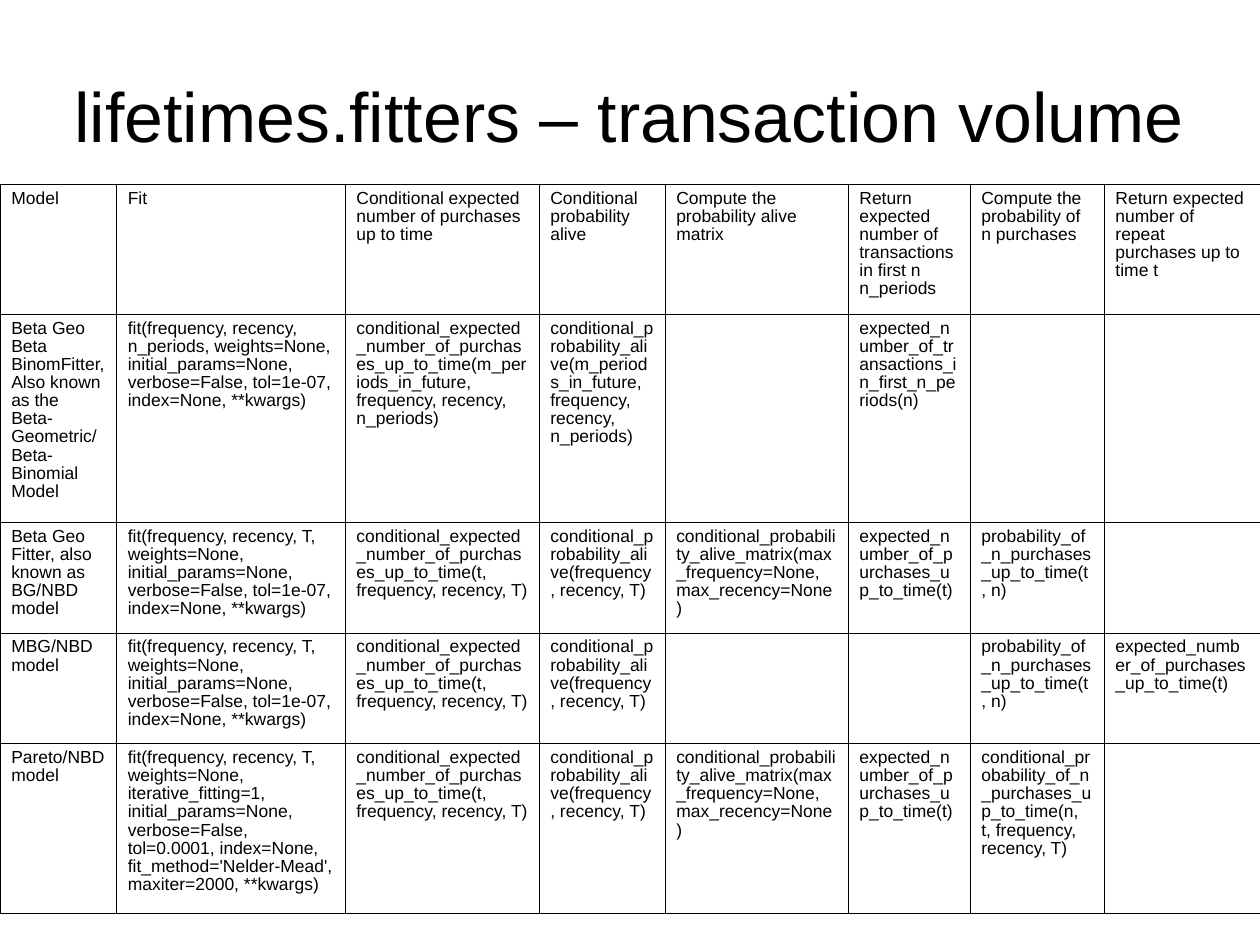
from dataclasses import dataclass, astuple

from lxml.etree import SubElement
from pptx import Presentation
from pptx.dml.color import RGBColor as Rgb
from pptx.enum.text import MSO_ANCHOR as Anchor, MSO_AUTO_SIZE as Auto, PP_ALIGN as Align
from pptx.oxml.ns import qn
from pptx.table import _Cell as Cell
from pptx.text.text import _Paragraph as Para
from pptx.util import Cm, Pt

COLORS = {"ink": "000000"}
FONT = "Arial"
WIDTHS = [2.59, 5.08, 4.31, 2.8, 4.07, 2.71, 2.98, 3.46]
HEIGHTS = [2.89, 4.62, 2.46, 2.46, 3.76]


@dataclass
class Model:
    name: str
    fit: str
    buys: str
    alive: str
    matrix: str = ""
    first: str = ""
    prob: str = ""
    repeat: str = ""


FIT = ("fit(frequency, recency, T, weights=None, initial_params=None, "
       "verbose=False, tol=1e-07, index=None, **kwargs)")
BUYS = "conditional_expected_number_of_purchases_up_to_time(t, frequency, recency, T)"
ALIVE = "conditional_probability_alive(frequency, recency, T)"
MATRIX = "conditional_probability_alive_matrix(max_frequency=None, max_recency=None)"
COUNT = "expected_number_of_purchases_up_to_time(t)"
PROB = "probability_of_n_purchases_up_to_time(t, n)"

ROWS = [
    Model("Model", "Fit",
          "Conditional expected number of purchases up to time",
          "Conditional probability alive",
          "Compute the probability alive matrix",
          "Return expected number of transactions in first n n_periods",
          "Compute the probability of n purchases",
          "Return expected number of repeat purchases up to time t"),
    Model("Beta Geo Beta BinomFitter, Also known as the "
          "Beta-Geometric/Beta-Binomial Model",
          "fit(frequency, recency, n_periods, weights=None, initial_params=None, "
          "verbose=False, tol=1e-07, index=None, **kwargs)",
          "conditional_expected_number_of_purchases_up_to_time"
          "(m_periods_in_future, frequency, recency, n_periods)",
          "conditional_probability_alive"
          "(m_periods_in_future, frequency, recency, n_periods)",
          first="expected_number_of_transactions_in_first_n_periods(n)"),
    Model("Beta Geo Fitter, also known as BG/NBD model",
          FIT, BUYS, ALIVE, MATRIX, COUNT, PROB),
    Model("MBG/NBD model", FIT, BUYS, ALIVE, prob=PROB, repeat=COUNT),
    Model("Pareto/NBD model",
          "fit(frequency, recency, T, weights=None, iterative_fitting=1, "
          "initial_params=None, verbose=False, tol=0.0001, index=None, "
          "fit_method='Nelder-Mead', maxiter=2000, **kwargs)",
          BUYS, ALIVE, MATRIX, COUNT,
          "conditional_probability_of_n_purchases_up_to_time"
          "(n, t, frequency, recency, T)"),
]


def write(para: Para, text: str, size: float) -> None:
    para.line_spacing = 0.93
    run = para.add_run()
    run.text = text
    run.font.name = FONT
    run.font.size = Pt(size)
    run.font.color.rgb = Rgb.from_string(COLORS["ink"])


def border(cell: Cell) -> None:
    props = cell._tc.get_or_add_tcPr()
    for side in ("a:lnL", "a:lnR", "a:lnT", "a:lnB"):
        line = SubElement(props, qn(side), w=str(Pt(0.06)))
        fill = SubElement(line, qn("a:solidFill"))
        SubElement(fill, qn("a:srgbClr"), val=COLORS["ink"])


def draw(cell: Cell, text: str) -> None:
    cell.margin_left = cell.margin_right = Cm(0.25)
    cell.margin_top = cell.margin_bottom = Cm(0.13)
    border(cell)
    cell.fill.background()
    if text:
        write(cell.text_frame.paragraphs[0], text, 11)


def main() -> None:
    deck = Presentation()
    deck.slide_width, deck.slide_height = Cm(28), Cm(21)
    slide = deck.slides.add_slide(deck.slide_layouts[5])

    title = slide.shapes.title
    title.left, title.top = Cm(1.4), Cm(0.84)
    title.width, title.height = Cm(25.2), Cm(3.5)
    frame = title.text_frame
    frame.auto_size = Auto.NONE
    frame.word_wrap = True
    frame.vertical_anchor = Anchor.MIDDLE
    frame.margin_left = frame.margin_right = frame.margin_bottom = 0
    frame.margin_top = Cm(0.1)
    frame.paragraphs[0].alignment = Align.CENTER
    write(frame.paragraphs[0], "lifetimes.fitters – transaction volume", 44)

    table = slide.shapes.add_table(
        len(ROWS), len(WIDTHS), 0, Cm(4.09), Cm(sum(WIDTHS)), Cm(sum(HEIGHTS))
    ).table
    table.first_row = table.horz_banding = False
    for col, width in zip(table.columns, WIDTHS):
        col.width = Cm(width)
    for row, height, model in zip(table.rows, HEIGHTS, ROWS):
        row.height = Cm(height)
        for cell, text in zip(row.cells, astuple(model)):
            draw(cell, text)

    deck.save("out.pptx")


if __name__ == "__main__":
    main()
